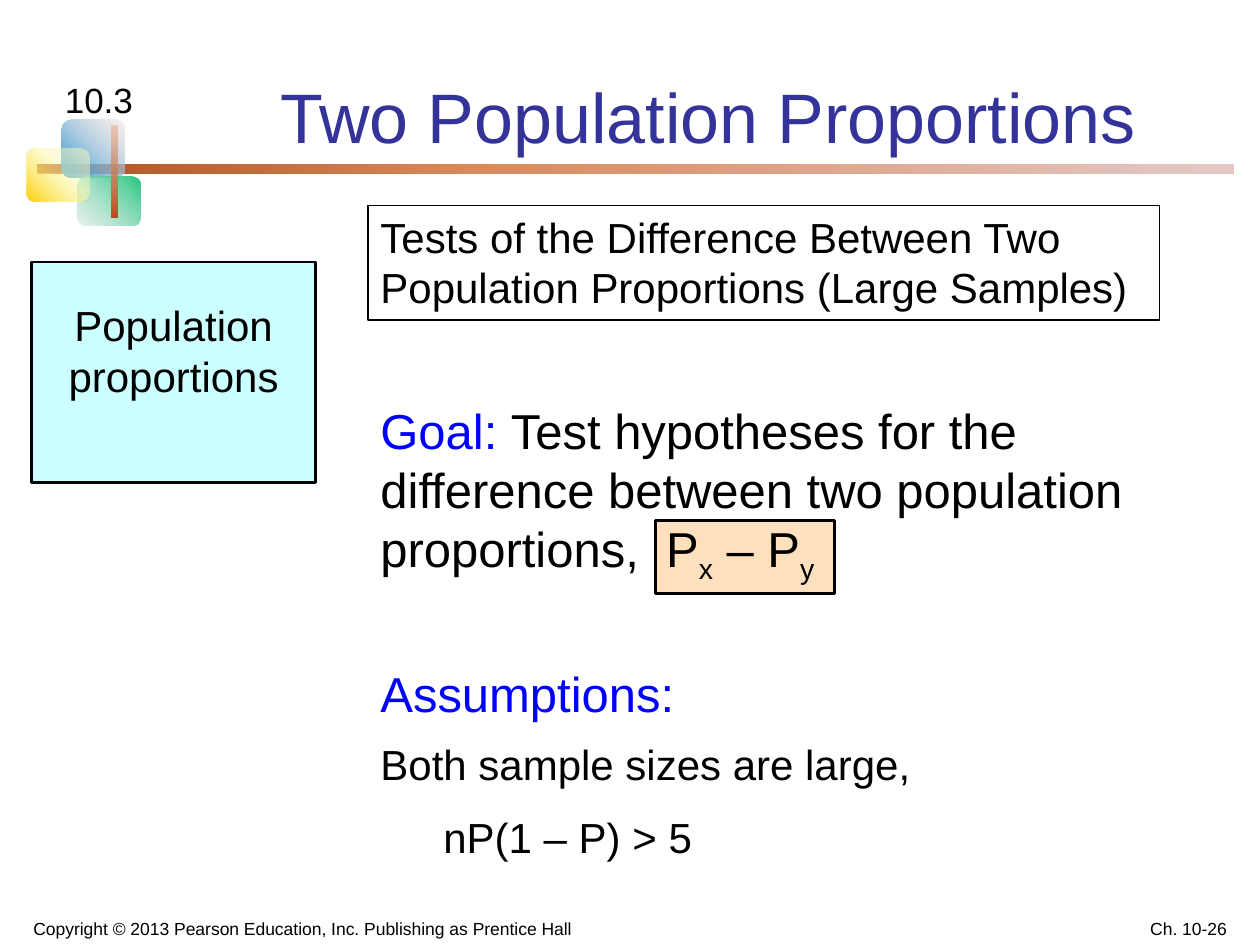
from lxml import etree
from pptx import Presentation
from pptx.dml.color import RGBColor
from pptx.enum.shapes import MSO_SHAPE as Kind
from pptx.enum.text import MSO_ANCHOR as Anchor, PP_ALIGN as Align
from pptx.oxml.ns import qn
from pptx.util import Cm, Pt

BLACK, BLUE, NAVY = "000000", "0000FF", "333399"

BARS = [
    ((0.74, 3.3, 24.13, 0.2), 0, [(0, "AE511E", 100), (37, "D88A5E", 100), (100, "E4C9C6", 100)]),
    ((1.24, 2.41, 1.27, 1.17), 315, [(0, "2895D8", 100), (100, "F7E2D9", 50)]),
    ((1.57, 3.56, 1.27, 0.99), 135, [(0, "25C580", 100), (100, "CCE2D9", 50)]),
    ((0.53, 3, 1.27, 1.07), 315, [(0, "FFCF01", 100), (63, "FCFCBC", 50)]),
    ((2.24, 2.54, 0.13, 1.85), 270, [(0, "AE511E", 100), (100, "EAA782", 50)]),
]

BOXES = [
    ((13.21, 10.49, 3.61, 1.47), "FDE0BD", 1.5),
    ((0.64, 5.28, 5.72, 4.45), "CCFFFF", 1.5),
    ((7.42, 4.14, 15.95, 2.31), None, 0.75),
]

GOAL = [
    ("Goal: ", BLUE, 0),
    ("Test hypotheses for the difference between two population proportions,\tP", BLACK, 0),
    ("x", BLACK, -25),
    (" – P", BLACK, 0),
    ("y", BLACK, -25),
]

TEXTS = [
    ((4.01, 1.19, 20.52, 2.11), [("Two Population Proportions", 40, NAVY, 0)],
     dict(align=Align.CENTER, anchor=Anchor.BOTTOM)),
    ((0, 18.16, 12.19, 0.89),
     [("Copyright © 2013 Pearson Education, Inc. Publishing as Prentice Hall", 10, BLACK, 0)],
     dict(align=Align.CENTER, anchor=Anchor.BOTTOM, lead=1.05)),
    ((19.05, 18.16, 5.93, 0.89), [("Ch. 10-26", 10, BLACK, 0)],
     dict(align=Align.RIGHT, anchor=Anchor.BOTTOM, lead=1.05)),
    ((0.94, 1.42, 2.11, 1.09), [("10.3", 20, BLACK, 0)],
     dict(align=Align.CENTER, lead=1.05)),
    ((0.64, 5.92, 5.72, 2.29), [("Population proportions", 24, BLACK, 0)],
     dict(align=Align.CENTER)),
    ((7.42, 4.14, 15.95, 2.31),
     [("Tests of the Difference Between Two Population Proportions (Large Samples)", 24, BLACK, 0)], {}),
    ((7.42, 7.95, 16.94, 3.81), [(GOAL, 28, BLACK, 0)], dict(stop=5.76)),
    ((7.42, 13.26, 16.94, 4.29), [
        ("Assumptions:", 28, BLUE, 0),
        ("Both sample sizes are large,", 24, BLACK, 9),
        ("\tnP(1 – P) > 5", 24, BLACK, 13),
    ], {}),
]


def color(code):
    return RGBColor.from_string(code)


def add_box(slide, kind, place, fill=None, width=None):
    box = slide.shapes.add_shape(kind, *map(Cm, place))
    box.shadow.inherit = False
    if fill:
        box.fill.solid()
        box.fill.fore_color.rgb = color(fill)
    else:
        box.fill.background()
    if width:
        box.line.color.rgb = color(BLACK)
        box.line.width = Pt(width)
    else:
        box.line.fill.background()
    return box


def add_bar(slide, place, angle, stops):
    props = add_box(slide, Kind.ROUNDED_RECTANGLE, place)._element.spPr
    grad = etree.Element(qn("a:gradFill"), rotWithShape="1")
    marks = etree.SubElement(grad, qn("a:gsLst"))
    for pos, code, alpha in stops:
        mark = etree.SubElement(marks, qn("a:gs"), pos=str(pos * 1000))
        tone = etree.SubElement(mark, qn("a:srgbClr"), val=code)
        if alpha < 100:
            etree.SubElement(tone, qn("a:alpha"), val=str(alpha * 1000))
    etree.SubElement(grad, qn("a:lin"), ang=str(angle * 60000), scaled="0")
    props.replace(props.find(qn("a:noFill")), grad)


def add_text(slide, place, lines, align=Align.LEFT, anchor=Anchor.TOP, lead=None, stop=None):
    frame = slide.shapes.add_textbox(*map(Cm, place)).text_frame
    frame.word_wrap = True
    frame.vertical_anchor = anchor
    for i, (parts, size, code, before) in enumerate(lines):
        para = frame.add_paragraph() if i else frame.paragraphs[0]
        para.alignment = align
        if lead:
            para.line_spacing = lead
        if before:
            para.space_before = Pt(before)
        if stop:
            tabs = etree.SubElement(para._p.get_or_add_pPr(), qn("a:tabLst"))
            etree.SubElement(tabs, qn("a:tab"), pos=str(Cm(stop)), algn="l")
        if isinstance(parts, str):
            parts = [(parts, code, 0)]
        for words, tone, shift in parts:
            run = para.add_run()
            run.text = words
            run.font.name = "Arial"
            run.font.size = Pt(size)
            run.font.color.rgb = color(tone)
            if shift:
                run.font._element.set("baseline", str(shift * 1000))


def main():
    deck = Presentation()
    deck.slide_width, deck.slide_height = Cm(25.4), Cm(19.05)
    slide = deck.slides.add_slide(deck.slide_layouts[6])
    for bar in BARS:
        add_bar(slide, *bar)
    for box in BOXES:
        add_box(slide, Kind.RECTANGLE, *box)
    for place, lines, form in TEXTS:
        add_text(slide, place, lines, **form)
    deck.save("out.pptx")


if __name__ == "__main__":
    main()
